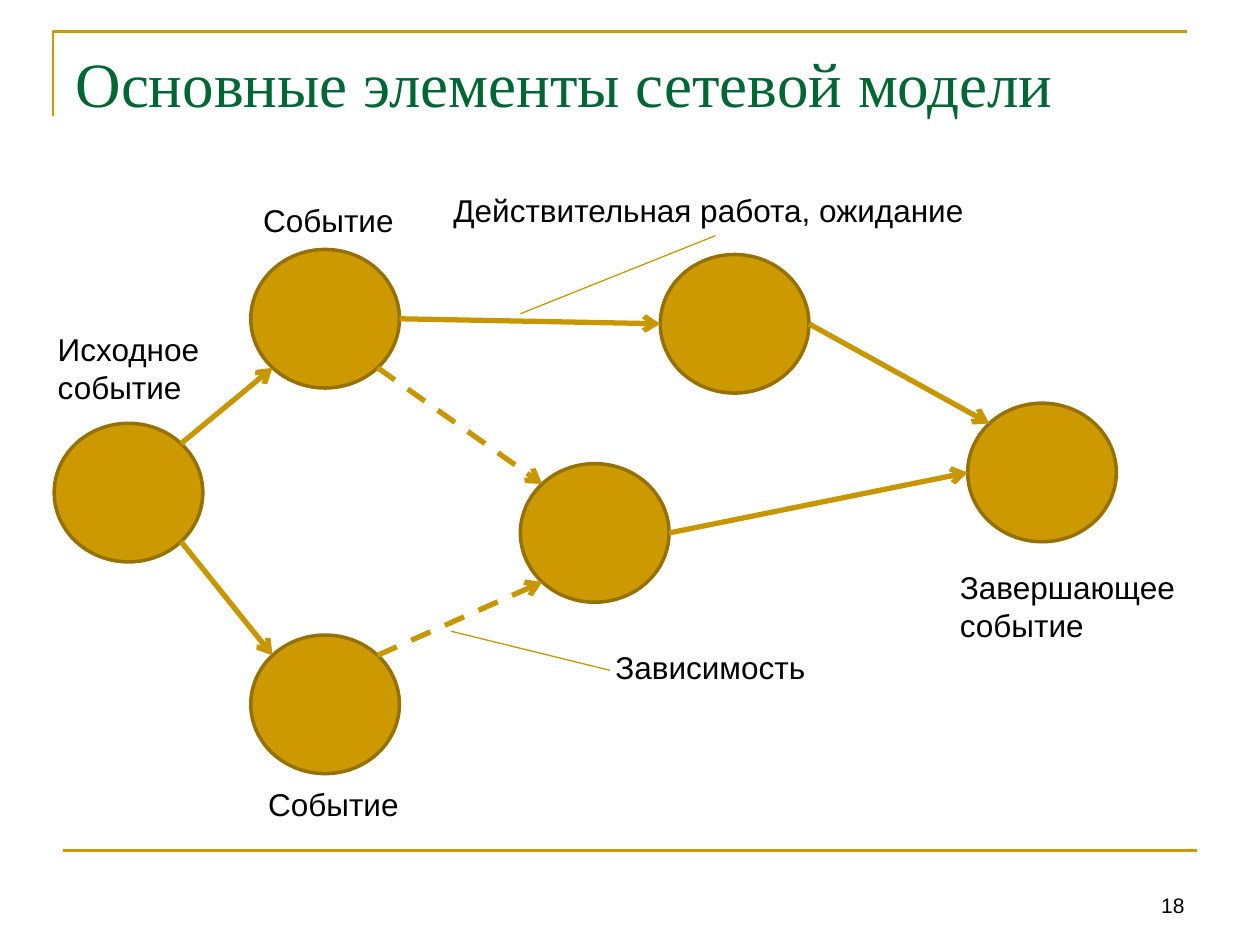
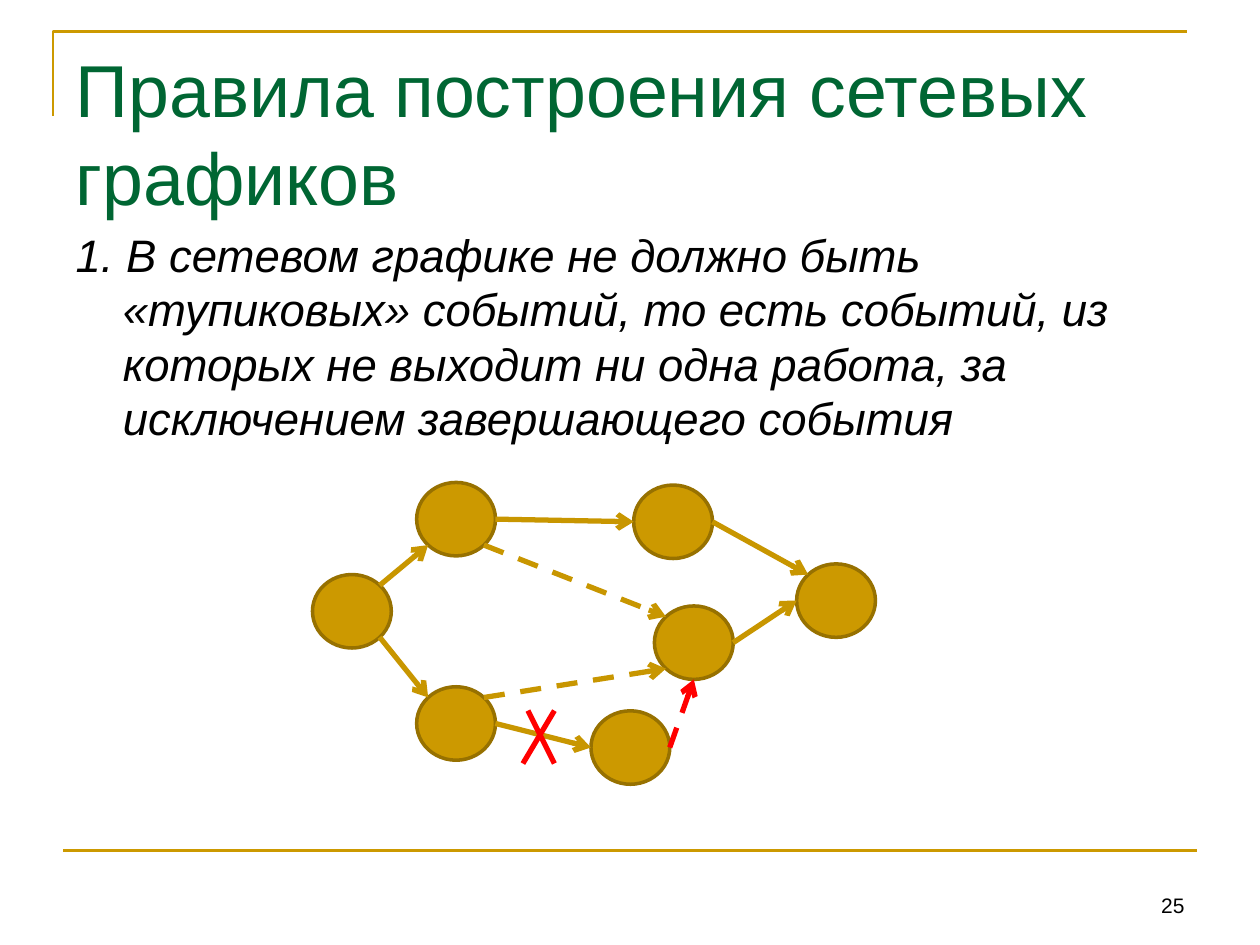
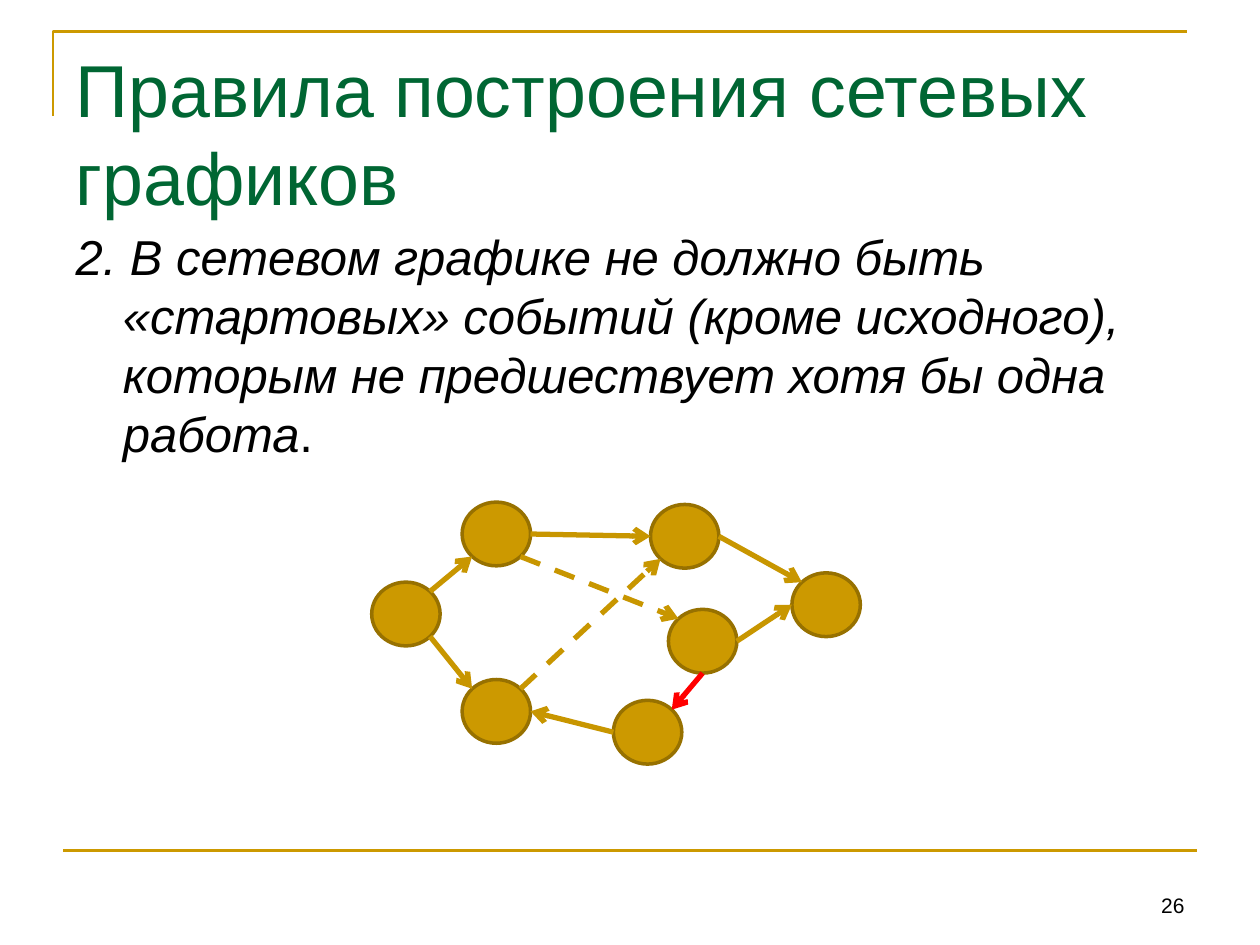
"""Three slides about network models: elements and drawing rules."""
from math import cos, radians, sin

from lxml import etree
from pptx import Presentation
from pptx import util as u
from pptx.dml.color import RGBColor
from pptx.enum import dml, shapes, text
from pptx.oxml.ns import qn

COLORS = {"gold": "CC9900", "edge": "C89600", "rim": "977100",
          "green": "006633", "black": "000000", "red": "FF0000"}
COLUMNS, ROWS = 100, 75
TITLE_ONLY, TITLE_AND_BODY = 5, 1

# Event positions relative to the start event, in columns and rows.
EVENTS = {"start": (0, 0), "top": (15.6, -13.8), "middle": (37, 3.2),
          "bottom": (15.6, 16.8), "right": (48.1, -13.4), "finish": (72.5, -1.6)}
RULE_EVENTS = {**EVENTS, "middle": (51.2, 4.7), "extra": (41.7, 20.4)}
EVENT_SIZE = (11.8, 11)

# Clockwise angles of the points where arrows touch an event.
ANGLES = {"e": 0, "se": 45, "s": 90, "sw": 135, "w": 180, "nw": 225, "n": 270, "ne": 315}

# Each job: from event, side, to event, side.
JOBS = [("start", "ne", "top", "sw"), ("start", "se", "bottom", "nw"),
        ("top", "e", "right", "w"), ("right", "e", "finish", "nw"),
        ("middle", "e", "finish", "w")]
TOP_DEPENDENCY = ("top", "se", "middle", "nw")
BOTTOM_DEPENDENCY = ("bottom", "ne", "middle", "sw")


def color(name):
    """Return a named colour."""
    return RGBColor.from_string(COLORS[name])


class Deck:
    """Holds the presentation, its style and the current slide."""

    def __init__(self):
        """Start a presentation of 10 by 7.5 inches."""
        self.presentation = Presentation()
        self.presentation.slide_width = u.Inches(10)
        self.presentation.slide_height = u.Inches(7.5)
        self.slide = None
        self.canvas = None

    def x(self, columns):
        """Turn columns into a length."""
        return round(self.presentation.slide_width * columns / COLUMNS)

    def y(self, rows):
        """Turn rows into a length."""
        return round(self.presentation.slide_height * rows / ROWS)

    def box(self, left, top, width, height):
        """Turn a grid box into lengths."""
        return self.x(left), self.y(top), self.x(width), self.y(height)

    def place(self, shape, *box):
        """Move a shape to a grid box."""
        shape.left, shape.top, shape.width, shape.height = self.box(*box)

    def add_slide(self, layout, number):
        """Add a slide with its number; the first also sets the master frame."""
        first = self.slide is None
        self.slide = self.presentation.slides.add_slide(
            self.presentation.slide_layouts[layout])
        self.canvas = self.slide.shapes
        if first:
            self.frame()
        self.label(number, 71.7, 68.3, 23.3, 5, size=12, right=True, number=True)

    def frame(self):
        """Draw the corner and the bottom rule, and put them on the master."""
        builder = self.canvas.build_freeform(self.x(4.2), self.y(9.2))
        builder.add_line_segments([(self.x(4.2), self.y(2.5)),
                                   (self.x(94.2), self.y(2.5))], close=False)
        corner = builder.convert_to_shape()
        corner.shadow.inherit = False
        corner.fill.background()
        corner.line.color.rgb = color("gold")
        corner.line.width = u.Pt(1.5)
        rule = self.line((5, 67.5), (95, 67.5), name="gold", width=1.5)
        tree = self.presentation.slide_master.element.cSld.spTree
        for shape_id, shape in enumerate((corner, rule), start=20):
            shape.element.xpath(".//p:cNvPr")[0].set("id", str(shape_id))
            tree.append(shape.element)

    def style(self, paragraph, size, name="black", font="Arial", right=False):
        """Format a paragraph."""
        paragraph.font.size = u.Pt(size)
        paragraph.font.name = font
        paragraph.font.color.rgb = color(name)
        paragraph.alignment = text.PP_ALIGN.RIGHT if right else text.PP_ALIGN.LEFT

    def title(self, words, height, size, font="Arial"):
        """Fill the title placeholder."""
        shape = self.slide.shapes.title
        self.place(shape, 5, 3, 90, height)
        frame = shape.text_frame
        frame.text = words
        frame.auto_size = text.MSO_AUTO_SIZE.NONE
        frame.vertical_anchor = text.MSO_ANCHOR.TOP
        self.style(frame.paragraphs[0], size, "green", font)

    def body(self, words, size, upright=""):
        """Fill the body placeholder with an italic rule and an upright ending."""
        shape = self.slide.placeholders[1]
        self.place(shape, 5, 17.5, 90, 49.5)
        frame = shape.text_frame
        frame.text = words
        frame.auto_size = text.MSO_AUTO_SIZE.NONE
        paragraph = frame.paragraphs[0]
        self.style(paragraph, size)
        paragraph.font.italic = True
        if upright:
            run = paragraph.add_run()
            run.text = upright
            run.font.italic = False
        properties = paragraph.font._element.getparent()
        properties.set("marL", str(self.x(3.75)))
        properties.set("indent", str(-self.x(3.75)))
        properties.insert(0, etree.Element(qn("a:buNone")))

    def label(self, words, left, top, width, height=4, size=18, right=False, number=False):
        """Add a text box; a slide number sits at the bottom of its box."""
        shape = self.slide.shapes.add_textbox(*self.box(left, top, width, height))
        frame = shape.text_frame
        frame.text = words
        frame.word_wrap = True
        if number:
            frame.vertical_anchor = text.MSO_ANCHOR.BOTTOM
        else:
            frame.auto_size = text.MSO_AUTO_SIZE.SHAPE_TO_FIT_TEXT
        for paragraph in frame.paragraphs:
            self.style(paragraph, size, right=right)

    def line(self, start, end, name="edge", width=3, dashed=False, arrow=False):
        """Draw a straight line between two grid points."""
        connector = self.canvas.add_connector(
            shapes.MSO_CONNECTOR.STRAIGHT, self.x(start[0]), self.y(start[1]),
            self.x(end[0]), self.y(end[1]))
        connector.line.color.rgb = color(name)
        connector.line.width = u.Pt(width)
        if dashed:
            connector.line.dash_style = dml.MSO_LINE.DASH
        properties = connector.element.spPr
        if arrow:
            outline = properties.find(qn("a:ln"))
            etree.SubElement(outline, qn("a:tailEnd"), type="arrow")
        etree.SubElement(properties, qn("a:effectLst"))
        return connector

    def event(self, left, top, width, height):
        """Draw an event."""
        shape = self.canvas.add_shape(shapes.MSO_SHAPE.OVAL,
                                      *self.box(left, top, width, height))
        shape.shadow.inherit = False
        shape.fill.solid()
        shape.fill.fore_color.rgb = color("gold")
        shape.line.color.rgb = color("rim")
        shape.line.width = u.Pt(2)

    def network(self, events, origin, scale=1.0, grouped=True):
        """Draw the events and jobs; return a function that links two events."""
        if grouped:
            self.canvas = self.slide.shapes.add_group_shape().shapes
        width, height = (side * scale for side in EVENT_SIZE)
        corners = {name: (origin[0] + column * scale, origin[1] + row * scale)
                   for name, (column, row) in events.items()}

        def touch(name, side):
            """Find the point on the rim of an event."""
            left, top = corners[name]
            angle = radians(ANGLES[side])
            return (left + width * (1 + cos(angle)) / 2,
                    top + height * (1 + sin(angle)) / 2)

        def link(source, source_side, target, target_side, **style):
            """Draw an arrow between two events."""
            self.line(touch(source, source_side), touch(target, target_side),
                      arrow=True, **style)

        for corner in corners.values():
            self.event(*corner, width, height)
        for job in JOBS:
            link(*job)
        link(*TOP_DEPENDENCY, dashed=True)
        return link


def elements_slide(deck):
    """Show the elements of the network model."""
    deck.add_slide(TITLE_ONLY, "18")
    deck.title("Основные элементы сетевой модели", 9.3, 36, "Times New Roman")
    link = deck.network(EVENTS, (4.3, 33.6), grouped=False)
    link(*BOTTOM_DEPENDENCY, dashed=True)
    deck.line((56.8, 18.7), (41.3, 24.9), width=0.75)
    deck.line((35.8, 50.1), (48.4, 53.2), width=0.75)
    deck.label("Событие", 19.9, 15.5, 21.2)
    deck.label("Событие", 20.3, 61.8, 21.2)
    deck.label("Зависимость", 43.7, 50.9, 21.2, right=True)
    deck.label("Действительная работа, ожидание", 35, 14.7, 43.5)
    deck.label("Исходное событие", 3.6, 25.7, 21.2, 7.1)
    deck.label("Завершающее\nсобытие", 75.2, 44.6, 21.2, 7.1)


def rule_slide(deck, number, words, size, upright=""):
    """Start a slide with one drawing rule."""
    deck.add_slide(TITLE_AND_BODY, number)
    deck.title("Правила построения сетевых графиков", 12.5, 42)
    deck.body(words, size, upright)


def dead_end_slide(deck):
    """Show the rule against dead ends."""
    rule_slide(deck, "25", "1. В сетевом графике не должно быть «тупиковых» событий, "
               "то есть событий, из которых не выходит ни одна работа, "
               "за исключением завершающего события", 26)
    link = deck.network(RULE_EVENTS, (24.8, 45.6), 0.53)
    link(*BOTTOM_DEPENDENCY, dashed=True)
    link("bottom", "e", "extra", "w")
    link("extra", "e", "middle", "s", name="red", dashed=True)
    deck.line((41.9, 56.4), (44, 60.6), name="red")
    deck.line((44, 56.4), (41.5, 60.6), name="red")


def false_start_slide(deck):
    """Show the rule against extra starting events."""
    rule_slide(deck, "26", "2. В сетевом графике не должно быть «стартовых» событий "
               "(кроме исходного), которым не предшествует хотя бы одна работа",
               28, upright=".")
    link = deck.network(RULE_EVENTS, (29.5, 46.2), 0.46)
    link("bottom", "ne", "right", "sw", dashed=True)
    link("extra", "w", "bottom", "e")
    link("middle", "s", "extra", "ne", name="red")


deck = Deck()
elements_slide(deck)
dead_end_slide(deck)
false_start_slide(deck)
deck.presentation.save("out.pptx")
